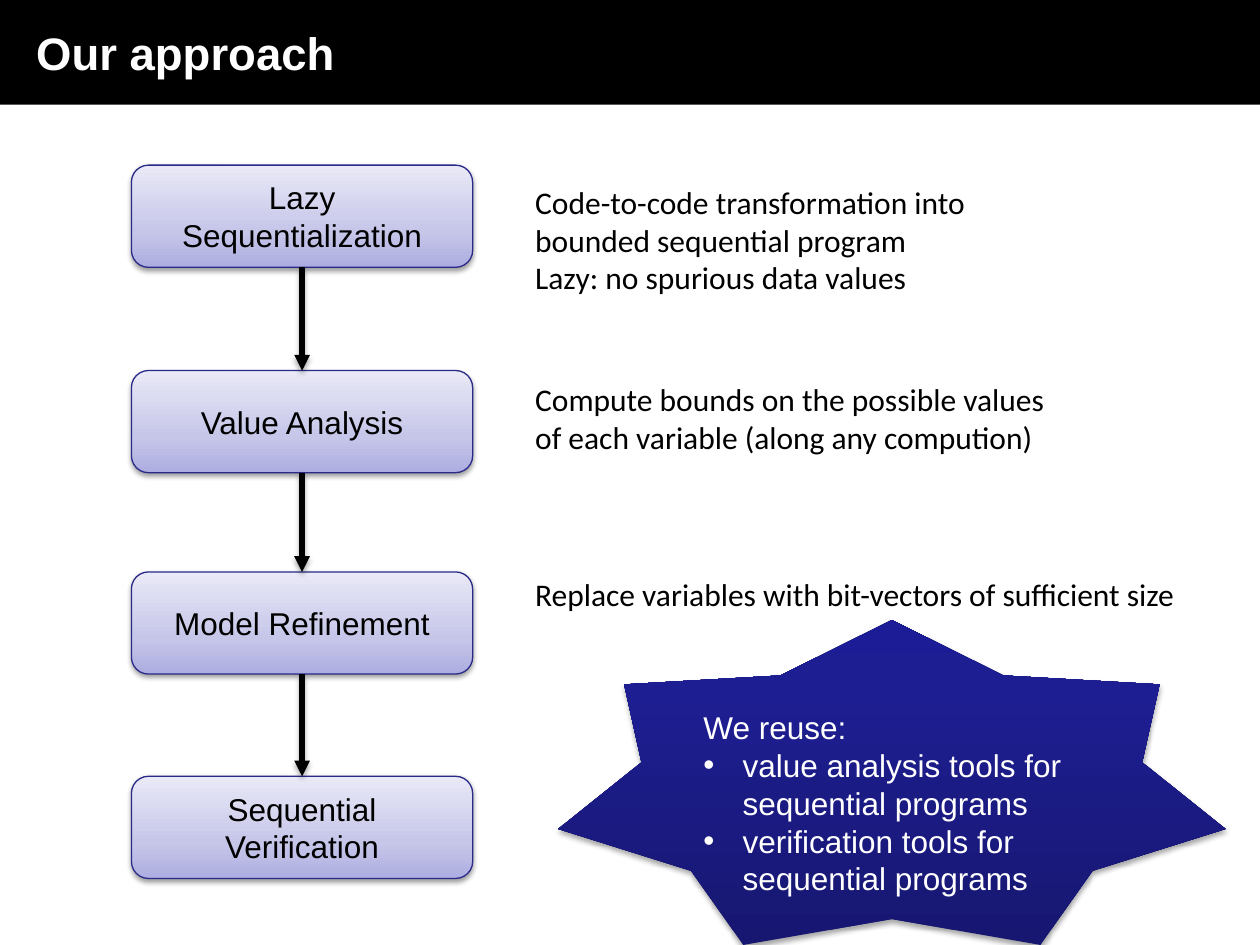
from lxml import etree
from pptx import Presentation
from pptx import util as u
from pptx.dml.color import RGBColor
from pptx.enum import shapes, text
from pptx.oxml import parse_xml
from pptx.oxml.ns import nsdecls, qn

Cm = u.Cm
STEPS = [
    ("Lazy Sequentialization", 3.33, 0.23, 9.32,
     ["Code-to-code transformation into", "bounded sequential program",
      "Lazy: no spurious data values"]),
    ("Value Analysis", 7.47, 0.07, 11.05,
     ["Compute bounds on the possible values",
      "of each variable (along any compution)"]),
    ("Model Refinement", 11.53, -0.07, 13.59,
     ["Replace variables with bit-vectors of sufficient size"]),
    ("Sequential Verification", 15.65, 0, 0, []),
]


def rgb(value):
    return RGBColor.from_string(value)


def add_text(tf, line, first=False, size=18, font="Arial", color="000000",
             bold=False, align=text.PP_ALIGN.LEFT, bullet=False):
    p = tf.paragraphs[0] if first else tf.add_paragraph()
    p.alignment = align
    r = p.add_run()
    r.text = line
    r.font.size, r.font.name, r.font.bold = u.Pt(size), font, bold
    r.font.color.rgb = rgb(color)
    if bullet:
        pPr = p._p.get_or_add_pPr()
        indent = int(Cm(0.79))
        pPr.set("marL", str(indent))
        pPr.set("indent", str(-indent))
        etree.SubElement(pPr, qn("a:buFont")).set("typeface", "Arial")
        etree.SubElement(pPr, qn("a:buChar")).set("char", "•")


def set_gradient(sp, stops):
    sp.fill.gradient()
    grad = sp._element.spPr.find(qn("a:gradFill"))
    gs_list = grad.find(qn("a:gsLst"))
    for gs in list(gs_list):
        gs_list.remove(gs)
    for pos, color in stops:
        gs = etree.SubElement(gs_list, qn("a:gs"), pos=str(pos * 1000))
        etree.SubElement(gs, qn("a:srgbClr"), val=color)
    lin = grad.find(qn("a:lin"))
    lin.set("ang", str(270 * 60000))
    lin.set("scaled", "0")


def set_shadow(sp, alpha, dist):
    spPr = sp._element.spPr
    effects = spPr.find(qn("a:effectLst"))
    if effects is None:
        effects = etree.SubElement(spPr, qn("a:effectLst"))
    effects.append(parse_xml(
        f'<a:outerShdw {nsdecls("a")} blurRad="{u.Pt(3.1)}" dist="{u.Pt(dist)}" '
        f'dir="5400000" rotWithShape="0"><a:srgbClr val="000000">'
        f'<a:alpha val="{alpha * 1000}"/></a:srgbClr></a:outerShdw>'))


def title_bar(s, left, top, width, height):
    sp = s.shapes.title
    sp.left, sp.top, sp.width, sp.height = map(Cm, (left, top, width, height))
    sp.fill.solid()
    sp.fill.fore_color.rgb = rgb("000000")
    tf = sp.text_frame
    tf.margin_left = Cm(0.75)
    tf.vertical_anchor = text.MSO_ANCHOR.MIDDLE
    add_text(tf, "Our approach", first=True, size=26, color="FFFFFF", bold=True)


def step_box(s, label, left, top, width, height):
    sp = s.shapes.add_shape(shapes.MSO_SHAPE.ROUNDED_RECTANGLE,
                            *map(Cm, (left, top, width, height)))
    set_gradient(sp, [(0, "ADADE1"), (35, "C6C6E9"), (100, "E9E9F7")])
    sp.line.color.rgb = rgb("2A2A89")
    sp.line.width = u.Pt(0.75)
    sp.shadow.inherit = False
    set_shadow(sp, 38, 1.6)
    tf = sp.text_frame
    tf.vertical_anchor = text.MSO_ANCHOR.MIDDLE
    add_text(tf, label, first=True, align=text.PP_ALIGN.CENTER)
    return sp


def arrow(s, start, end):
    cx = s.shapes.add_connector(shapes.MSO_CONNECTOR.STRAIGHT, 0, 0, 0, 0)
    cx.begin_connect(start, 2)
    cx.end_connect(end, 0)
    cx.line.color.rgb = rgb("000000")
    cx.line.width = u.Pt(3)
    etree.SubElement(cx.line._get_or_add_ln(), qn("a:tailEnd"), type="triangle")
    set_shadow(cx, 35, 1.8)


def note(s, lines, left, top, width):
    sp = s.shapes.add_textbox(*map(Cm, (left, top, width, 0.25 + 0.77 * len(lines))))
    tf = sp.text_frame
    tf.word_wrap = False
    tf.auto_size = text.MSO_AUTO_SIZE.SHAPE_TO_FIT_TEXT
    for i, line in enumerate(lines):
        add_text(tf, line, first=i == 0, font="Calibri")


def flow(s, left, width, height):
    previous = None
    for label, top, drop, note_width, lines in STEPS:
        box = step_box(s, label, left, top, width, height)
        if previous is not None:
            arrow(s, previous, box)
        if lines:
            note(s, lines, left + 7.89, top + drop, note_width)
        previous = box


def reuse_star(s, left, top, width, height):
    sp = s.shapes.add_shape(shapes.MSO_SHAPE.STAR_7_POINT,
                            *map(Cm, (left, top, width, height)))
    sp.adjustments[0] = 0.375
    set_gradient(sp, [(0, "171771"), (80, "1E1E93"), (100, "1C1C96")])
    sp.line.fill.background()
    sp.shadow.inherit = False
    set_shadow(sp, 35, 1.8)
    tf = sp.text_frame
    tf.vertical_anchor = text.MSO_ANCHOR.TOP
    tf.margin_top, tf.margin_bottom = Cm(0.66), 0
    add_text(tf, "We reuse:", first=True, color="FFFFFF")
    for kind in ("value analysis", "verification"):
        add_text(tf, f"{kind} tools for sequential programs",
                 color="FFFFFF", bullet=True)


def main():
    prs = Presentation()
    prs.slide_width, prs.slide_height = Cm(25.4), Cm(19.05)
    s = prs.slides.add_slide(prs.slide_layouts[5])
    title_bar(s, -0.02, -0.02, 25.45, 2.13)
    flow(s, 2.65, 6.88, 2.06)
    reuse_star(s, 11.25, 12.5, 13.46, 6.55)
    prs.save("out.pptx")


if __name__ == "__main__":
    main()
